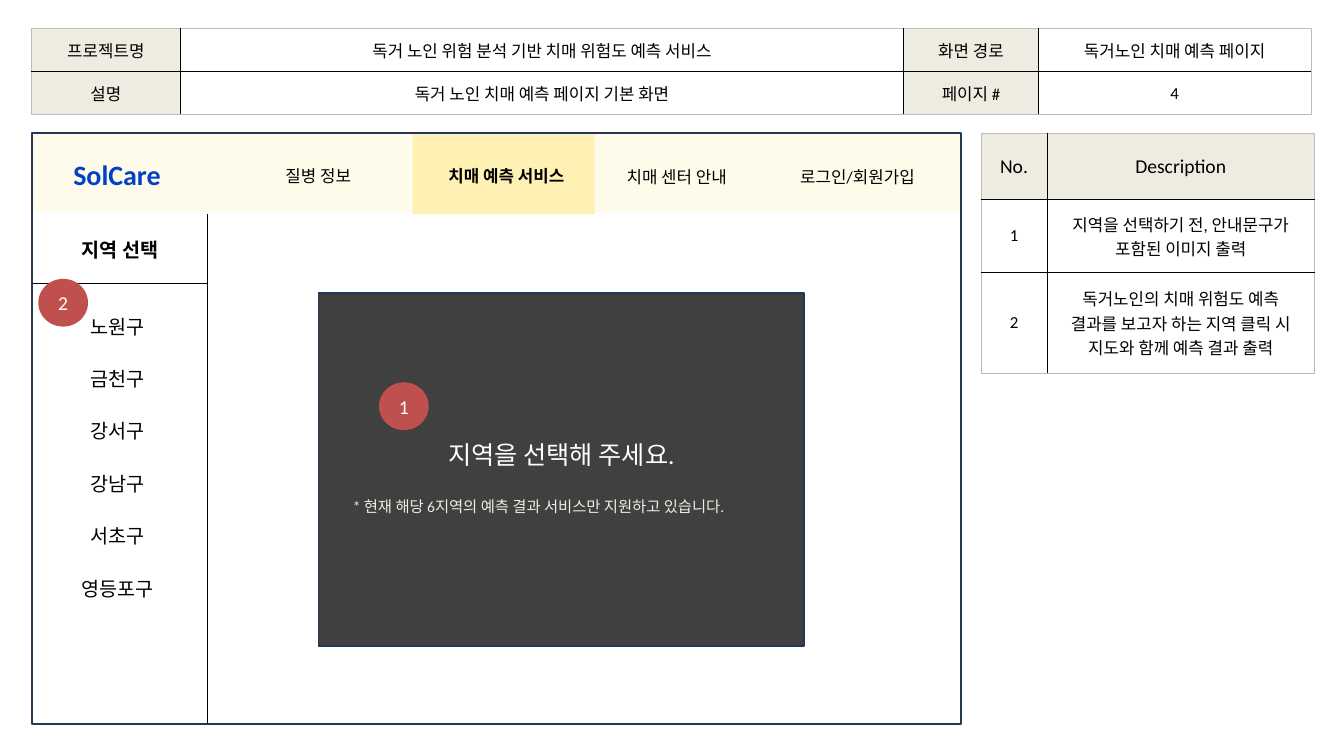
from lxml import etree
from pptx import Presentation
from pptx.dml.color import RGBColor
from pptx.enum.shapes import MSO_SHAPE
from pptx.enum.text import MSO_ANCHOR, MSO_AUTO_SIZE, PP_ALIGN
from pptx.oxml import parse_xml
from pptx.oxml.ns import nsdecls, qn
from pptx.util import Pt

RECTANGLE, ROUNDED, OVAL = MSO_SHAPE.RECTANGLE, MSO_SHAPE.ROUNDED_RECTANGLE, MSO_SHAPE.OVAL
LEFT, CENTER = PP_ALIGN.LEFT, PP_ALIGN.CENTER
TOP, MIDDLE = MSO_ANCHOR.TOP, MSO_ANCHOR.MIDDLE
FIT_TEXT = MSO_AUTO_SIZE.SHAPE_TO_FIT_TEXT

EMU_PER_PX = 9144  # 100 px to the inch
KOREAN_FONT = "Noto Sans CJK KR"
GRID_STYLE = "{5940675A-B579-460E-94D1-54222C63F5DA}"
PLAIN_STYLE = "{2D5ABB26-0587-4C30-8999-92F81FD0307C}"
BLACK, WHITE, NAVY, BEIGE, RED = "000000", "FFFFFF", "233953", "EEECE1", "C0504D"


def px(length):
    return length * EMU_PER_PX


def color(code):
    return RGBColor.from_string(code)


class Painter:
    """Holds the text style and the slide being drawn."""

    font = "Calibri"
    insets = (15, 7, 15, 7)

    def __init__(self, slide):
        self.slide = slide

    def add_text(self, frame, text, size=18, ink=BLACK, bold=False, align=CENTER, font=None):
        for index, line in enumerate(text.split("\n")):
            paragraph = frame.paragraphs[0] if index == 0 else frame.add_paragraph()
            paragraph.alignment = align
            run = paragraph.add_run()
            run.text = line
            run.font.size = Pt(size)
            run.font.bold = bold
            run.font.color.rgb = color(ink)
            run.font.name = font or self.font
            etree.SubElement(run.font._element, qn("a:ea"), typeface=KOREAN_FONT)

    def set_margins(self, target, insets=None):
        left, top, right, bottom = map(px, insets or self.insets)
        target.margin_left, target.margin_top = left, top
        target.margin_right, target.margin_bottom = right, bottom

    def shape(self, kind, bounds, fill=None, line=None, text="", insets=None, **style):
        shape = self.slide.shapes.add_shape(kind, *map(px, bounds))
        shape.shadow.inherit = False
        if fill:
            shape.fill.solid()
            shape.fill.fore_color.rgb = color(fill)
        else:
            shape.fill.background()
        if line:
            shape.line.color.rgb = color(line)
            shape.line.width = Pt(2)
        else:
            shape.line.fill.background()
        if text:
            frame = shape.text_frame
            frame.vertical_anchor = MIDDLE
            self.set_margins(frame, insets)
            self.add_text(frame, text, **style)

    def label(self, bounds, text, anchor=MIDDLE, insets=None, **style):
        frame = self.slide.shapes.add_textbox(*map(px, bounds)).text_frame
        frame.word_wrap = True
        frame.auto_size = FIT_TEXT
        frame.vertical_anchor = anchor
        self.set_margins(frame, insets)
        self.add_text(frame, text, **style)

    def table(self, left, top, widths, heights, rows, style_id, look):
        """Add a table; look(row, column) gives a cell's fill and text style."""
        bounds = map(px, (left, top, sum(widths), sum(heights)))
        table = self.slide.shapes.add_table(len(heights), len(widths), *bounds).table
        table.first_row = table.horz_banding = False
        table._tbl.tblPr.find(qn("a:tableStyleId")).text = style_id
        for column, width in zip(table.columns, widths):
            column.width = px(width)
        for row, height in zip(table.rows, heights):
            row.height = px(height)
        for row, texts in enumerate(rows):
            for column, text in enumerate(texts):
                cell = table.cell(row, column)
                fill, style = look(row, column)
                if fill:
                    cell.fill.solid()
                    cell.fill.fore_color.rgb = color(fill)
                else:
                    cell.fill.background()
                cell.vertical_anchor = MIDDLE
                self.set_margins(cell)
                if text:
                    self.add_text(cell.text_frame, text, **style)
        return table

    def border(self, cell, sides):
        """Draw black 1 pt borders on the sides, given in the order L, R, T, B."""
        properties = cell._tc.get_or_add_tcPr()
        for index, side in enumerate(sides):
            properties.insert(index, parse_xml(
                f'<a:ln{side} {nsdecls("a")} w="12700"><a:solidFill>'
                f'<a:srgbClr val="{BLACK}"/></a:solidFill></a:ln{side}>'))


def description_look(row, column):
    return (BEIGE, {"size": 21}) if row == 0 else (None, {})


def project_look(row, column):
    if column in (0, 2):
        return BEIGE, {}
    return None, {"font": KOREAN_FONT} if (row, column) == (0, 1) else {}


def sidebar_look(row, column):
    return WHITE, {"size": 21, "bold": True}


def main():
    presentation = Presentation()
    presentation.slide_width, presentation.slide_height = px(2000), px(1125)
    painter = Painter(presentation.slides.add_slide(presentation.slide_layouts[6]))

    painter.table(1460, 198, (98, 398), (99, 108, 151), [
        ("No.", "Description"),
        ("1", "지역을 선택하기 전, 안내문구가 포함된 이미지 출력"),
        ("2", "독거노인의 치매 위험도 예측\n결과를 보고자 하는 지역 클릭 시 지도와 함께 예측 결과 출력"),
    ], GRID_STYLE, description_look)
    painter.table(47, 43, (221, 1077, 200, 406), (64, 64), [
        ("프로젝트명", "독거 노인 위험 분석 기반 치매 위험도 예측 서비스",
         "화면 경로", "독거노인 치매 예측 페이지"),
        ("설명", "독거 노인 치매 예측 페이지 기본 화면", "페이지 #", "4"),
    ], GRID_STYLE, project_look)

    # Navigation bar
    painter.shape(RECTANGLE, (48, 199, 1383, 116), "FFFBEB")
    painter.shape(RECTANGLE, (614, 200, 271, 119), "FFF0B3")
    for left, top, width, text, bold in (
        (382, 239, 183, "질병 정보", False),
        (622, 239, 263, "치매 예측 서비스", True),
        (884, 240, 246, "치매 센터 안내", False),
        (1153, 240, 246, "로그인/회원가입", False),
    ):
        painter.label((left, top, width, 45), text, bold=bold)
    painter.label((94, 227, 195, 66), "SolCare", TOP,
                  size=30, ink="0042C7", bold=True, align=LEFT)

    # Region sidebar
    sidebar = painter.table(48, 319, (261,), (103, 655), [("지역 선택",), ("",)],
                            PLAIN_STYLE, sidebar_look)
    painter.border(sidebar.cell(0, 0), "LRB")
    painter.border(sidebar.cell(1, 0), "LRT")
    regions = ("노원구", "금천구", "강서구", "강남구", "서초구", "영등포구")
    for index, region in enumerate(regions):
        painter.shape(ROUNDED, (62, 450 + 78 * index, 225, 71), WHITE, WHITE, region, size=21)

    # Guidance panel
    painter.shape(RECTANGLE, (474, 436, 723, 525), "404040", NAVY, "지역을 선택해 주세요.",
                  insets=(10, 5, 10, 50), size=27, ink=WHITE)
    painter.label((505, 733, 660, 43),
                  "* 현재 해당 6지역의 예측 결과 서비스만 지원하고 있습니다.", TOP,
                  insets=(20, 7, 15, 7), size=16.5, ink=BEIGE, align=LEFT)

    for left, top, number in ((564, 569, "1"), (57, 415, "2")):
        painter.shape(OVAL, (left, top, 74, 71), RED, text=number, size=21, ink=WHITE)
    painter.shape(RECTANGLE, (47, 198, 1383, 879), line=NAVY)

    presentation.save("out.pptx")


if __name__ == "__main__":
    main()
